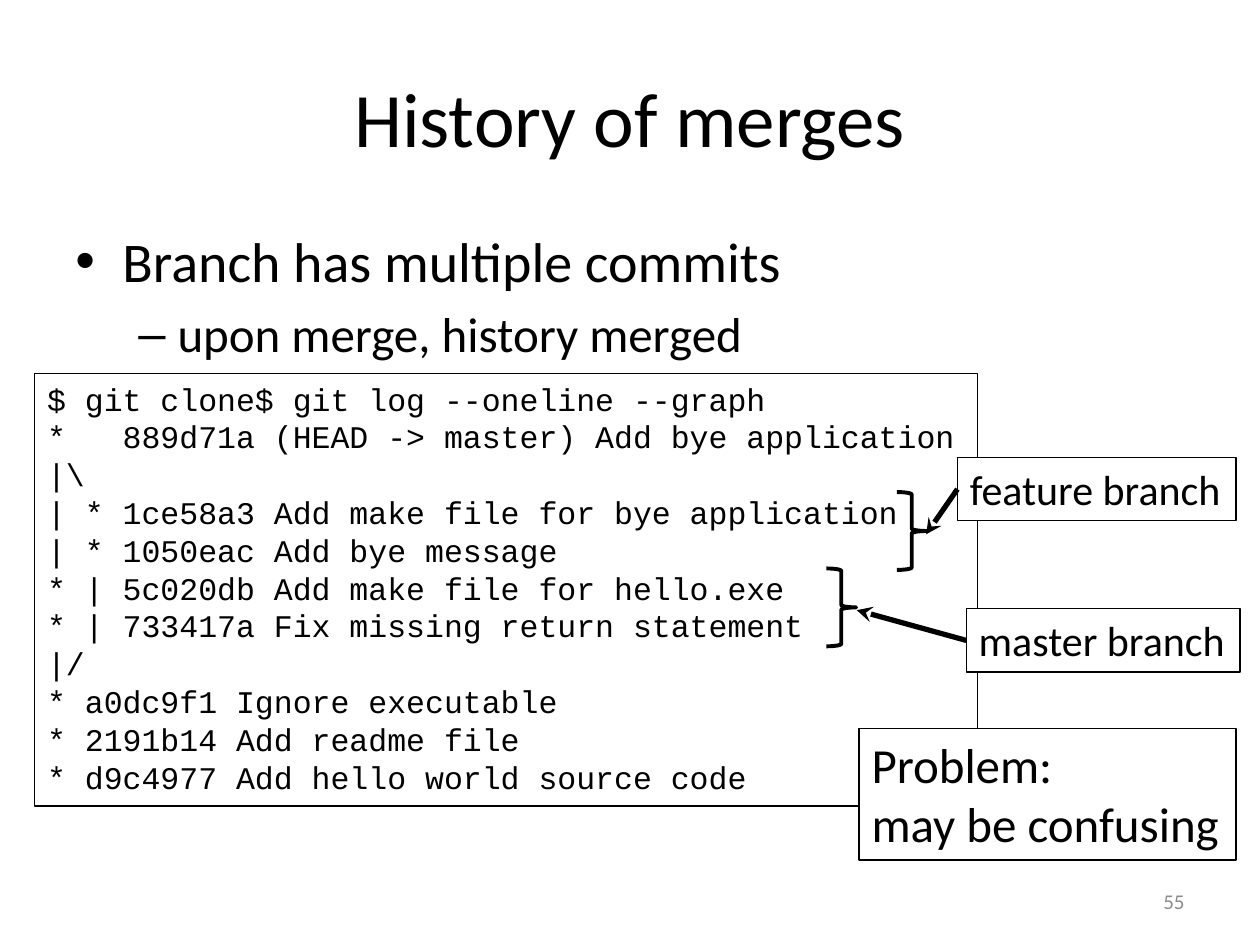
"""Build the slide on the history of merges."""
import pptx
import pptx.util
import pptx.dml.color
import pptx.enum.shapes
import pptx.enum.text
import pptx.oxml
import pptx.oxml.ns

Cm, Pt = pptx.util.Cm, pptx.util.Pt
SHAPE = pptx.enum.shapes.MSO_SHAPE
ALIGN = pptx.enum.text.PP_ALIGN
ANCHOR = pptx.enum.text.MSO_ANCHOR
FIT = pptx.enum.text.MSO_AUTO_SIZE

COLORS = {"ink": "000000", "paper": "FFFFFF", "muted": "8C8C8C"}
BODY_FONT, CODE_FONT = "Calibri", "Courier New"

TITLE = "History of merges"
PAGE = "55"
BULLETS = [
    {"text": "Branch has multiple commits", "size": 32, "char": "•",
     "level": 0, "left": 0.95, "hang": 0.95, "before": 0},
    {"text": "upon merge, history merged", "size": 28, "char": "–",
     "level": 1, "left": 2.06, "hang": 0.79, "before": 5.6},
]
LOG = [
    "$ git clone$ git log --oneline --graph",
    "*   889d71a (HEAD -> master) Add bye application",
    "|\\",
    "| * 1ce58a3 Add make file for bye application",
    "| * 1050eac Add bye message",
    "* | 5c020db Add make file for hello.exe",
    "* | 733417a Fix missing return statement",
    "|/",
    "* a0dc9f1 Ignore executable",
    "* 2191b14 Add readme file",
    "* d9c4977 Add hello world source code",
]
BRANCHES = [
    {"text": "feature branch", "box": (19.3, 9.22, 5.62, 1.28),
     "brace": (18.08, 9.92), "tip": (18.67, 10.77)},
    {"text": "master branch", "box": (19.48, 12.27, 5.52, 1.28),
     "brace": (16.66, 11.46), "tip": (17.27, 12.3)},
]
BRACE_SIZE = (0.6, 1.57)
PROBLEM = ["Problem:", "may be confusing"]


def rgb(name):
    return pptx.dml.color.RGBColor.from_string(COLORS[name])


def add_run(p, text, size, font=BODY_FONT, color="ink"):
    r = p.add_run()
    r.text = text
    r.font.size = Pt(size)
    r.font.name = font
    r.font.color.rgb = rgb(color)


def write(tf, lines, size, font=BODY_FONT, color="ink", align=ALIGN.LEFT):
    for i, line in enumerate(lines):
        p = tf.paragraphs[0] if i == 0 else tf.add_paragraph()
        p.alignment = align
        add_run(p, line, size, font, color)


def add_text(slide, box, anchor):
    tf = slide.shapes.add_textbox(*map(Cm, box)).text_frame
    tf.word_wrap = True
    tf.vertical_anchor = anchor
    return tf


def add_outline(slide, kind, box, width, fill=None):
    sp = slide.shapes.add_shape(kind, *map(Cm, box))
    sp.shadow.inherit = False
    if fill:
        sp.fill.solid()
        sp.fill.fore_color.rgb = rgb(fill)
    else:
        sp.fill.background()
    sp.line.color.rgb = rgb("ink")
    sp.line.width = Pt(width)
    return sp


def add_box(slide, box, lines, size, font=BODY_FONT, fill="paper", wrap=False):
    sp = add_outline(slide, SHAPE.RECTANGLE, box, 0.75, fill)
    tf = sp.text_frame
    tf.word_wrap = wrap
    tf.auto_size = FIT.SHAPE_TO_FIT_TEXT
    tf.vertical_anchor = ANCHOR.TOP
    write(tf, lines, size, font)
    return sp


def add_arrow(slide, label, tip):
    x, y = map(Cm, tip)
    line = slide.shapes.add_connector(
        pptx.enum.shapes.MSO_CONNECTOR.STRAIGHT, x, y, x, y)
    line.begin_connect(label, 1)
    line.line.color.rgb = rgb("ink")
    line.line.width = Pt(3)
    tail = pptx.oxml.ns.qn("a:tailEnd")
    line.line._get_or_add_ln().makeelement(tail)
    ln = line.line._get_or_add_ln()
    ln.append(ln.makeelement(tail, {"type": "stealth"}))
    sp_pr = line._element.spPr
    sp_pr.append(sp_pr.makeelement(pptx.oxml.ns.qn("a:effectLst")))


def add_bullets(tf):
    for i, item in enumerate(BULLETS):
        p = tf.paragraphs[0] if i == 0 else tf.add_paragraph()
        p.level = item["level"]
        p_pr = p._p.get_or_add_pPr()
        p_pr.set("marL", str(Cm(item["left"])))
        p_pr.set("indent", str(-Cm(item["hang"])))
        p.space_before = Pt(item["before"])
        for tag, attrs in (("a:buFont", {"typeface": "Arial"}),
                           ("a:buChar", {"char": item["char"]})):
            p_pr.append(p_pr.makeelement(pptx.oxml.ns.qn(tag), attrs))
        add_run(p, item["text"], item["size"])


def main():
    prs = pptx.Presentation()
    prs.slide_width, prs.slide_height = Cm(25.4), Cm(19.05)
    slide = prs.slides.add_slide(prs.slide_layouts[6])

    title = add_text(slide, (1.27, 0.76, 22.86, 3.18), ANCHOR.MIDDLE)
    write(title, [TITLE], 44, align=ALIGN.CENTER)
    add_bullets(add_text(slide, (1.27, 4.45, 22.86, 12.57), ANCHOR.TOP))
    page = add_text(slide, (18.2, 17.66, 5.93, 1.01), ANCHOR.MIDDLE)
    write(page, [PAGE], 12, color="muted", align=ALIGN.RIGHT)

    add_box(slide, (0.7, 7.53, 19, 8.72), LOG, 18, CODE_FONT, None, True)
    for branch in BRANCHES:
        label = add_box(slide, branch["box"], [branch["text"]], 24)
        add_arrow(slide, label, branch["tip"])
        add_outline(slide, SHAPE.RIGHT_BRACE, branch["brace"] + BRACE_SIZE, 2.25)
    add_box(slide, (17.32, 14.69, 7.6, 2.65), PROBLEM, 28)

    prs.save("out.pptx")


if __name__ == "__main__":
    main()
